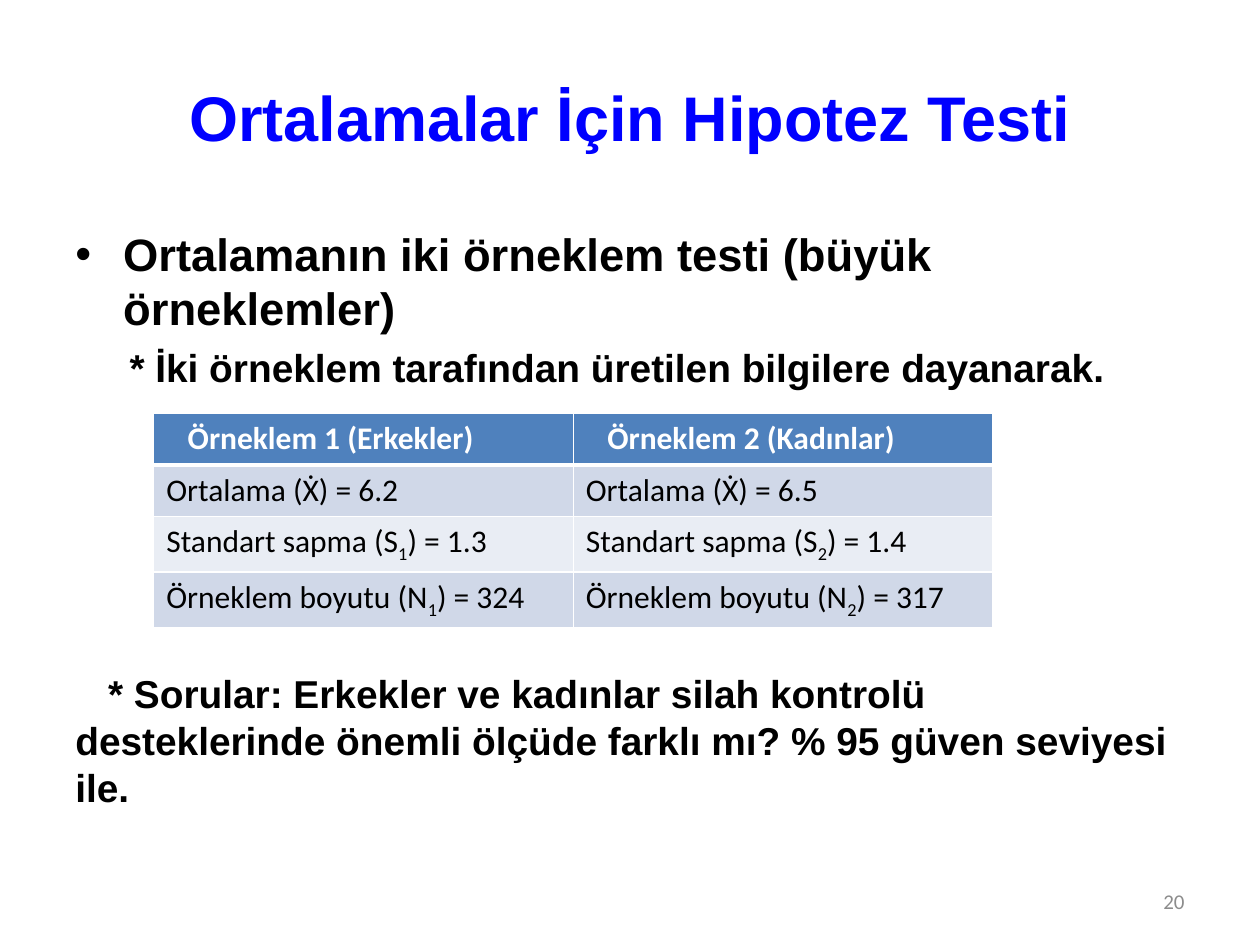
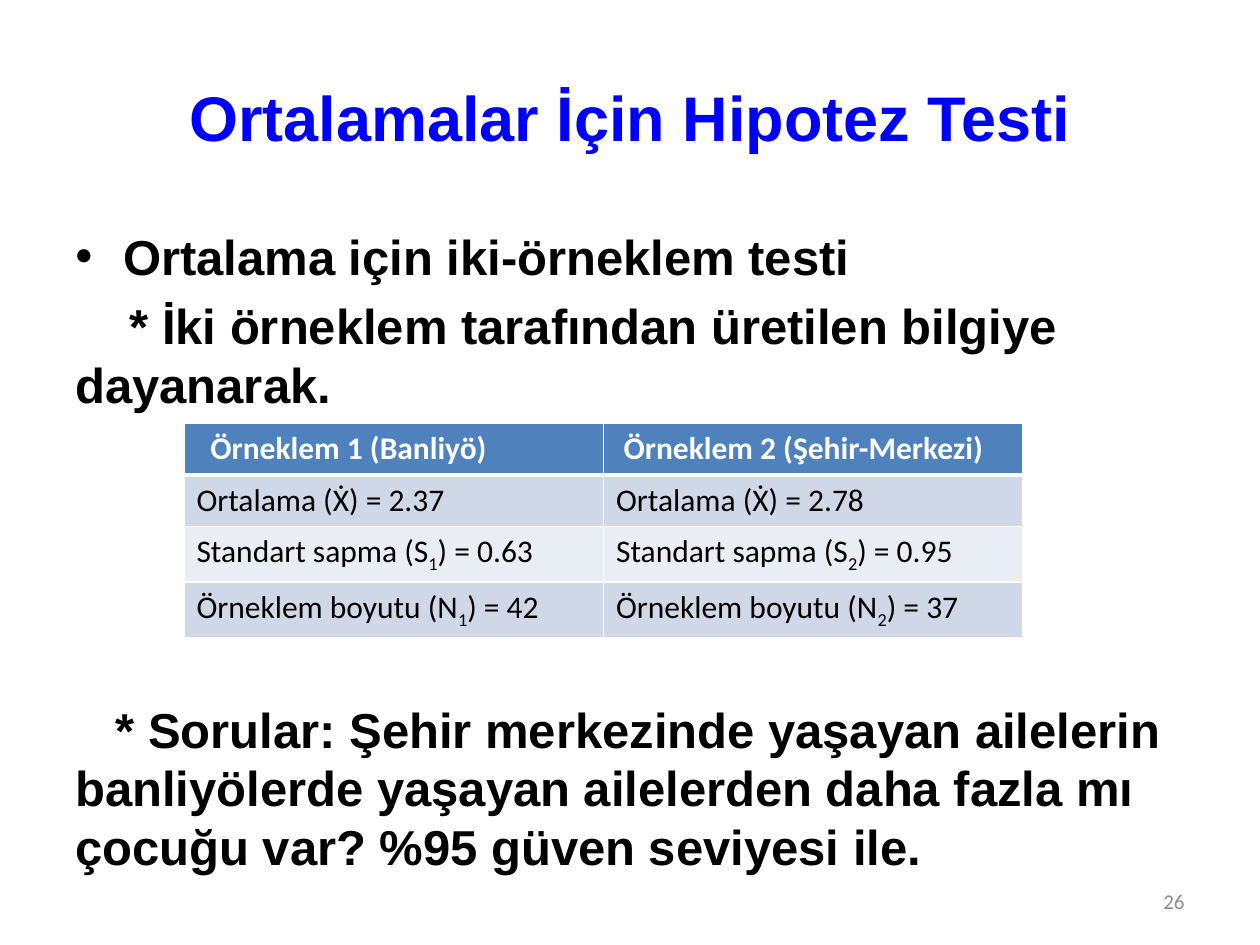
from dataclasses import dataclass

from lxml.etree import SubElement
from pptx import Presentation
from pptx.dml.color import RGBColor
from pptx.enum.text import MSO_ANCHOR, PP_ALIGN
from pptx.oxml.ns import qn
from pptx.slide import Slide
from pptx.table import _Cell
from pptx.text.text import TextFrame, _Paragraph
from pptx.util import Inches, Pt

COLORS = {
    "title": "0000FF",
    "text": "000000",
    "number": "8C8C8C",
    "header": "4F81BD",
    "band_dark": "D0D8E8",
    "band_light": "E9EDF4",
    "white": "FFFFFF",
}
HEADING_FONT = "Arial"
TABLE_FONT = "Calibri"
TITLE = "Ortalamalar İçin Hipotez Testi"
COLUMN_WIDTH = 3.33
ROW_HEIGHT = 0.41
CELL_MARGIN = 0.1
BULLET_INDENT = 0.38


@dataclass(frozen=True)
class BodyLine:
    text: str
    size: float
    line_height: float
    space_before: float = 0
    first_indent: float = 0
    bullet: bool = False


@dataclass(frozen=True)
class Sample:
    name: str
    mean: str
    deviation: str
    count: str
    header_indent: float


@dataclass(frozen=True)
class TestSlide:
    number: str
    body: tuple[BodyLine, ...]
    table_left: float
    table_top: float
    samples: tuple[Sample, ...]


TEST_SLIDES = (
    TestSlide(
        "20",
        (
            BodyLine("Ortalamanın iki örneklem testi (büyük örneklemler)", 25.9, 30.9, bullet=True),
            BodyLine("* İki örneklem tarafından üretilen bilgilere dayanarak.", 22.2, 26.9, 5, 0.43),
            BodyLine(
                "* Sorular: Erkekler ve kadınlar silah kontrolü desteklerinde önemli "
                "ölçüde farklı mı? % 95 güven seviyesi ile.",
                22.2, 26.9, 159, 0.26,
            ),
        ),
        1.22,
        3.28,
        (
            Sample("Erkekler", "6.2", "1.3", "324", 0.17),
            Sample("Kadınlar", "6.5", "1.4", "317", 0.17),
        ),
    ),
    TestSlide(
        "26",
        (
            BodyLine("Ortalama için iki-örneklem testi", 28, 33.5, bullet=True),
            BodyLine("* İki örneklem tarafından üretilen bilgiye dayanarak.", 28, 33.5, 6, 0.43),
            BodyLine(
                "* Sorular: Şehir merkezinde yaşayan ailelerin banliyölerde yaşayan "
                "ailelerden daha fazla mı çocuğu var? %95 güven seviyesi ile.",
                28, 33.5, 163.5, 0.32,
            ),
        ),
        1.46,
        3.36,
        (
            Sample("Banliyö", "2.37", "0.63", "42", 0.11),
            Sample("Şehir-Merkezi", "2.78", "0.95", "37", 0.06),
        ),
    ),
)


def write_text(
    paragraph: _Paragraph,
    text: str,
    *,
    size: float,
    font: str = HEADING_FONT,
    color: str = "text",
    bold: bool = False,
    align: PP_ALIGN = PP_ALIGN.LEFT,
) -> None:
    paragraph.alignment = align
    for index, part in enumerate(text.split("_")):
        run = paragraph.add_run()
        run.text = part
        run.font.size = Pt(size)
        run.font.name = font
        run.font.bold = bold
        run.font.color.rgb = RGBColor.from_string(COLORS[color])
        if index % 2:
            run.font._element.set("baseline", "-25000")


def add_text_frame(
    slide: Slide, left: float, top: float, width: float, height: float, anchor: MSO_ANCHOR
) -> TextFrame:
    box = slide.shapes.add_textbox(Inches(left), Inches(top), Inches(width), Inches(height))
    frame = box.text_frame
    frame.word_wrap = True
    frame.vertical_anchor = anchor
    return frame


def set_indent(paragraph: _Paragraph, line: BodyLine) -> None:
    properties = paragraph._p.get_or_add_pPr()
    margin = BULLET_INDENT if line.bullet else 0
    indent = -BULLET_INDENT if line.bullet else line.first_indent
    properties.set("marL", str(Inches(margin)))
    properties.set("indent", str(Inches(indent)))
    if line.bullet:
        SubElement(properties, qn("a:buFont"), typeface=HEADING_FONT)
        SubElement(properties, qn("a:buChar"), char="•")
    else:
        SubElement(properties, qn("a:buNone"))


def add_body(slide: Slide, lines: tuple[BodyLine, ...]) -> None:
    frame = add_text_frame(slide, 0.5, 1.75, 9, 4.95, MSO_ANCHOR.TOP)
    for index, line in enumerate(lines):
        paragraph = frame.add_paragraph() if index else frame.paragraphs[0]
        set_indent(paragraph, line)
        paragraph.line_spacing = Pt(line.line_height)
        paragraph.space_before = Pt(line.space_before)
        write_text(paragraph, line.text, size=line.size, bold=True)


def set_borders(cell: _Cell, top: float, bottom: float) -> None:
    properties = cell._tc.get_or_add_tcPr()
    for side, width in (("L", 1), ("R", 1), ("T", top), ("B", bottom)):
        border = SubElement(properties, qn(f"a:ln{side}"), w=str(Pt(width)))
        fill = SubElement(border, qn("a:solidFill"))
        SubElement(fill, qn("a:srgbClr"), val=COLORS["white"])


def add_sample_table(slide: Slide, content: TestSlide) -> None:
    columns = [
        (
            f"Örneklem {number} ({sample.name})",
            f"Ortalama (Ẋ) = {sample.mean}",
            f"Standart sapma (S_{number}_) = {sample.deviation}",
            f"Örneklem boyutu (N_{number}_) = {sample.count}",
        )
        for number, sample in enumerate(content.samples, start=1)
    ]
    row_fills = ("header", "band_dark", "band_light", "band_dark")
    table = slide.shapes.add_table(
        len(row_fills),
        len(columns),
        Inches(content.table_left),
        Inches(content.table_top),
        Inches(COLUMN_WIDTH * len(columns)),
        Inches(ROW_HEIGHT * len(row_fills)),
    ).table
    for column_index, texts in enumerate(columns):
        for row_index, text in enumerate(texts):
            is_header = row_index == 0
            cell = table.cell(row_index, column_index)
            set_borders(cell, 3 if row_index == 1 else 1, 3 if is_header else 1)
            cell.fill.solid()
            cell.fill.fore_color.rgb = RGBColor.from_string(COLORS[row_fills[row_index]])
            indent = content.samples[column_index].header_indent if is_header else 0
            cell.margin_left = Inches(CELL_MARGIN + indent)
            write_text(
                cell.text_frame.paragraphs[0],
                text,
                size=18,
                font=TABLE_FONT,
                color="white" if is_header else "text",
                bold=is_header,
            )


def add_title_and_number(slide: Slide, number: str) -> None:
    title = add_text_frame(slide, 0.5, 0.3, 9, 1.25, MSO_ANCHOR.MIDDLE)
    write_text(
        title.paragraphs[0], TITLE, size=36, color="title", bold=True, align=PP_ALIGN.CENTER
    )
    footer = add_text_frame(slide, 7.17, 6.95, 2.33, 0.4, MSO_ANCHOR.MIDDLE)
    write_text(
        footer.paragraphs[0],
        number,
        size=12,
        font=TABLE_FONT,
        color="number",
        align=PP_ALIGN.RIGHT,
    )


def main() -> None:
    presentation = Presentation()
    presentation.slide_width = Inches(10)
    presentation.slide_height = Inches(7.5)
    for content in TEST_SLIDES:
        slide = presentation.slides.add_slide(presentation.slide_layouts[6])
        add_title_and_number(slide, content.number)
        add_body(slide, content.body)
        add_sample_table(slide, content)
    presentation.save("out.pptx")


if __name__ == "__main__":
    main()
